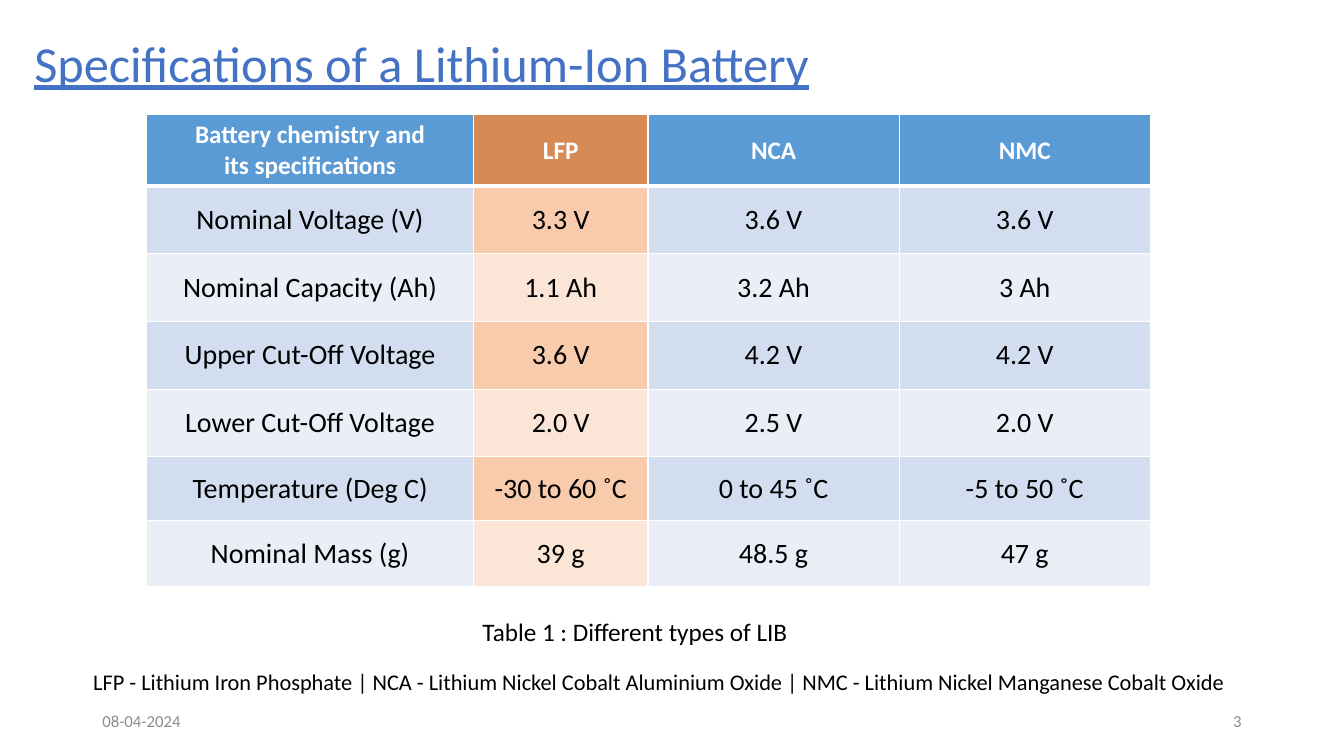
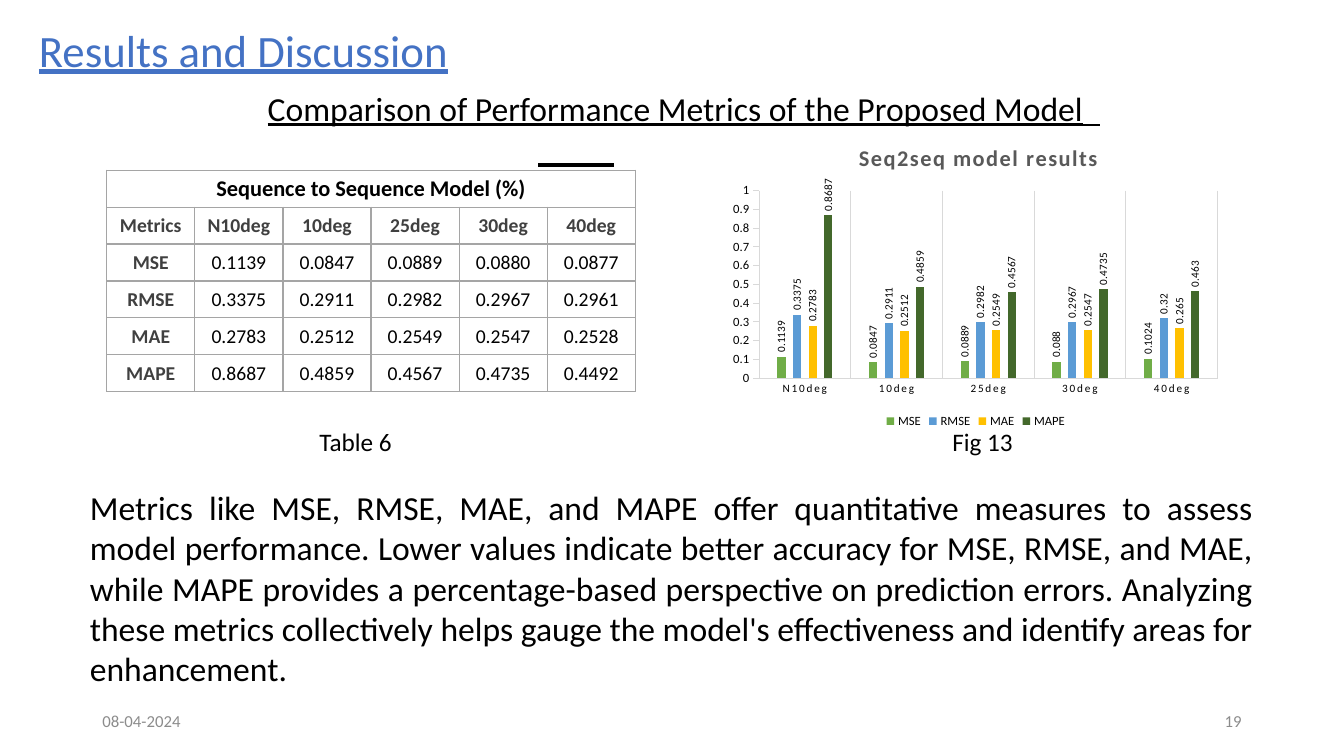
from dataclasses import dataclass

from lxml import etree
from pptx import Presentation
from pptx.chart import data as chart_data
from pptx.dml.color import RGBColor
from pptx.enum import chart as ch, shapes, text
from pptx.oxml import ns
from pptx.util import Cm, Pt

FONT = "Calibri"
BLACK = RGBColor(0x00, 0x00, 0x00)
WHITE = RGBColor(0xFF, 0xFF, 0xFF)
TITLE_BLUE = RGBColor(0x44, 0x72, 0xC4)
FOOTER_GREY = RGBColor(0x8C, 0x8C, 0x8C)
LABEL_GREY = RGBColor(0x40, 0x40, 0x40)
CHART_TITLE_GREY = RGBColor(0x59, 0x59, 0x59)
GRID_GREY = RGBColor(0xD9, 0xD9, 0xD9)
BORDER_GREY = RGBColor(0xA5, 0xA5, 0xA5)
HEADER_BLUE = RGBColor(0x5B, 0x9B, 0xD5)
HEADER_ORANGE = RGBColor(0xC5, 0x5A, 0x11)
BLUE_BANDS = RGBColor(0xD2, 0xDE, 0xEF), RGBColor(0xEA, 0xEF, 0xF7)
ORANGE_BANDS = RGBColor(0xF8, 0xCB, 0xAD), RGBColor(0xFB, 0xE5, 0xD6)

ALIGN = text.PP_ALIGN
ANCHOR = text.MSO_ANCHOR


@dataclass(frozen=True)
class Box:
    """A place on the slide, in centimetres."""
    left: float
    top: float
    width: float
    height: float

    def lengths(self) -> tuple:
        return Cm(self.left), Cm(self.top), Cm(self.width), Cm(self.height)


@dataclass(frozen=True)
class Metric:
    name: str
    color: RGBColor
    tabled: tuple
    charted: tuple


TEMPERATURES = ("N10deg", "10deg", "25deg", "30deg", "40deg")
METRICS = (
    Metric("MSE", RGBColor(0x70, 0xAD, 0x47),
           ("0.1139", "0.0847", "0.0889", "0.0880", "0.0877"),
           (0.1139, 0.0847, 0.0889, 0.088, 0.1024)),
    Metric("RMSE", HEADER_BLUE,
           ("0.3375", "0.2911", "0.2982", "0.2967", "0.2961"),
           (0.3375, 0.2911, 0.2982, 0.2967, 0.32)),
    Metric("MAE", RGBColor(0xFF, 0xC0, 0x00),
           ("0.2783", "0.2512", "0.2549", "0.2547", "0.2528"),
           (0.2783, 0.2512, 0.2549, 0.2547, 0.265)),
    Metric("MAPE", RGBColor(0x43, 0x68, 0x2B),
           ("0.8687", "0.4859", "0.4567", "0.4735", "0.4492"),
           (0.8687, 0.4859, 0.4567, 0.4735, 0.463)),
)
SPECIFICATIONS = (
    ("Battery chemistry and\nits specifications", "LFP", "NCA", "NMC"),
    ("Nominal Voltage (V)", "3.3 V", "3.6 V", "3.6 V"),
    ("Nominal Capacity (Ah)", "1.1 Ah", "3.2 Ah", "3 Ah"),
    ("Upper Cut-Off Voltage", "3.6 V", "4.2 V", "4.2 V"),
    ("Lower Cut-Off Voltage", "2.0 V", "2.5 V", "2.0 V"),
    ("Temperature (Deg C)", "-30 to 60 ˚C", "0 to 45 ˚C", "-5 to 50 ˚C"),
    ("Nominal Mass (g)", "39 g", "48.5 g", "47 g"),
)


def style_font(font, size: float, color: RGBColor = BLACK, bold: bool = False,
               underline: bool = False) -> None:
    font.name, font.size = FONT, Pt(size)
    font.bold, font.underline = bold, underline
    font.color.rgb = color


def write(frame, wording: str, *, size: float, align=ALIGN.LEFT, anchor=ANCHOR.TOP,
          line_spacing: float = 1.0, wrap: bool = True, **font_format) -> None:
    """Fill a text frame, one paragraph for each line of the wording."""
    frame.word_wrap = wrap
    frame.vertical_anchor = anchor
    for index, line in enumerate(wording.split("\n")):
        paragraph = frame.add_paragraph() if index else frame.paragraphs[0]
        paragraph.alignment = align
        paragraph.line_spacing = line_spacing
        paragraph.space_before = Pt(0)
        run = paragraph.add_run()
        run.text = line
        style_font(run.font, size, **font_format)


def add_text(slide, box: Box, wording: str, **text_format) -> None:
    write(slide.shapes.add_textbox(*box.lengths()).text_frame, wording, **text_format)


def fill_placeholder(placeholder, box: Box, wording: str, **text_format) -> None:
    placeholder.left, placeholder.top, placeholder.width, placeholder.height = box.lengths()
    placeholder.text_frame.auto_size = text.MSO_AUTO_SIZE.NONE
    write(placeholder.text_frame, wording, **text_format)


def start_slide(deck, layout: int, title: str, title_box: Box, title_size: float,
                number: int, title_align=ALIGN.LEFT):
    """Add a slide with its title, date and slide number."""
    slide = deck.slides.add_slide(deck.slide_layouts[layout])
    fill_placeholder(slide.shapes.title, title_box, title, size=title_size,
                     color=TITLE_BLUE, underline=True, align=title_align,
                     anchor=ANCHOR.MIDDLE, line_spacing=0.9)
    outline = etree.SubElement(slide.shapes.title._element.spPr, ns.qn("a:prstGeom"),
                               prst="round2DiagRect")
    etree.SubElement(outline, ns.qn("a:avLst"))
    for left, wording, align in ((2.33, "08-04-2024", ALIGN.LEFT),
                                 (23.92, str(number), ALIGN.RIGHT)):
        add_text(slide, Box(left, 17.65, 7.62, 1.01), wording, size=12,
                 color=FOOTER_GREY, align=align, anchor=ANCHOR.MIDDLE)
    return slide


def set_borders(cell, color: RGBColor, top: float = 1, bottom: float = 1) -> None:
    properties = cell._tc.get_or_add_tcPr()
    for side, points in (("L", 1), ("R", 1), ("T", top), ("B", bottom)):
        line = etree.SubElement(properties, ns.qn(f"a:ln{side}"), w=str(Pt(points)))
        fill = etree.SubElement(line, ns.qn("a:solidFill"))
        etree.SubElement(fill, ns.qn("a:srgbClr"), val=str(color))


def fill_cell(cell, color: RGBColor, opacity: int = 100) -> None:
    cell.fill.solid()
    cell.fill.fore_color.rgb = color
    if opacity < 100:
        shade = cell._tc.tcPr.find(f"{ns.qn('a:solidFill')}/{ns.qn('a:srgbClr')}")
        etree.SubElement(shade, ns.qn("a:alpha"), val=str(opacity * 1000))


def add_grid(slide, left: float, top: float, widths: list, heights: list):
    box = Box(left, top, sum(widths), sum(heights))
    table = slide.shapes.add_table(len(heights), len(widths), *box.lengths()).table
    table.horz_banding = False
    for column, width in zip(table.columns, widths):
        column.width = Cm(width)
    for row, height in zip(table.rows, heights):
        row.height = Cm(height)
    return table


def add_specification_table(slide) -> None:
    table = add_grid(slide, 3.7, 2.89, [8.23, 4.4, 6.33, 6.33],
                     [1.8, 1.7, 1.71, 1.71, 1.7, 1.61, 1.66])
    for r, values in enumerate(SPECIFICATIONS):
        for c, value in enumerate(values):
            cell = table.cell(r, c)
            header, highlighted = r == 0, c == 1
            set_borders(cell, WHITE, top=3 if r == 1 else 1, bottom=3 if header else 1)
            if header:
                fill_cell(cell, HEADER_ORANGE if highlighted else HEADER_BLUE,
                          70 if highlighted else 100)
            else:
                fill_cell(cell, (ORANGE_BANDS if highlighted else BLUE_BANDS)[(r - 1) % 2])
            write(cell.text_frame, value, size=18 if header else 20, bold=header,
                  color=WHITE if header else BLACK, align=ALIGN.CENTER)
            cell.vertical_anchor = ANCHOR.MIDDLE


def add_metrics_table(slide) -> None:
    rows = [("Sequence to Sequence Model (%)",), ("Metrics", *TEMPERATURES)]
    rows += [(metric.name, *metric.tabled) for metric in METRICS]
    table = add_grid(slide, 2.69, 4.29, [2.22] * 6, [0.93] * 6)
    for cell in table.iter_cells():
        set_borders(cell, BORDER_GREY)
        cell.fill.background()
        cell.margin_left = cell.margin_right = cell.margin_top = Cm(0.03)
        cell.margin_bottom = 0
    table.cell(0, 0).merge(table.cell(0, 5))
    for r, values in enumerate(rows):
        for c, value in enumerate(values):
            label = r == 1 or (c == 0 and r > 0)
            write(table.cell(r, c).text_frame, value, size=14 if r else 16,
                  bold=label or r == 0, color=LABEL_GREY if label else BLACK,
                  align=ALIGN.CENTER)
            table.cell(r, c).vertical_anchor = ANCHOR.MIDDLE


def place_in_chart(part, index: int, **settings) -> None:
    """Give a chart part a manual layout, as the child at the given index."""
    tag = ns.qn("c:layout")
    for automatic in part.findall(tag):
        part.remove(automatic)
    layout = etree.Element(tag)
    manual = etree.SubElement(layout, ns.qn("c:manualLayout"))
    for name, value in settings.items():
        etree.SubElement(manual, ns.qn(f"c:{name}"), val=str(value))
    part.insert(index, layout)


def style_line(line) -> None:
    line.color.rgb = GRID_GREY
    line.width = Pt(0.75)


def add_metrics_chart(slide) -> None:
    data = chart_data.CategoryChartData()
    data.categories = TEMPERATURES
    for metric in METRICS:
        data.add_series(metric.name, metric.charted)
    chart = slide.shapes.add_chart(ch.XL_CHART_TYPE.COLUMN_CLUSTERED,
                                   *Box(18.24, 3.28, 12.7, 7.62).lengths(), data).chart
    style_font(chart.font, 10)

    chart.has_title = True
    heading = chart.chart_title.text_frame.paragraphs[0].add_run()
    heading.text = "Seq2seq model results"
    style_font(heading.font, 16, CHART_TITLE_GREY, bold=True)
    heading.font._rPr.set("spc", "120")
    place_in_chart(chart.chart_title._element, 1, xMode="edge", yMode="edge",
                   x=0.26, y=0.03)

    chart.has_legend = True
    chart.legend.position = ch.XL_LEGEND_POSITION.BOTTOM
    chart.legend.include_in_layout = False
    style_font(chart.legend.font, 9)

    temperatures, scores = chart.category_axis, chart.value_axis
    for axis, size, tick in ((temperatures, 8, ch.XL_TICK_MARK.NONE),
                             (scores, 9, ch.XL_TICK_MARK.OUTSIDE)):
        style_font(axis.tick_labels.font, size)
        axis.major_tick_mark = tick
        axis.minor_tick_mark = ch.XL_TICK_MARK.NONE
        style_line(axis.format.line)
    temperatures.tick_labels.font._rPr.set("spc", "120")
    temperatures.has_major_gridlines = True
    style_line(temperatures.major_gridlines.format.line)
    scores.has_major_gridlines = False
    scores.minimum_scale, scores.maximum_scale, scores.major_unit = 0, 1, 0.1

    plot = chart.plots[0]
    plot.gap_width, plot.overlap, plot.vary_by_categories = 444, -90, False
    for series, metric in zip(plot.series, METRICS):
        series.format.fill.solid()
        series.format.fill.fore_color.rgb = metric.color
        labels = series.data_labels
        labels.show_value = True
        labels.position = ch.XL_LABEL_POSITION.OUTSIDE_END
        style_font(labels.font, 8)
        turned = labels._element.find(f"{ns.qn('c:txPr')}/{ns.qn('a:bodyPr')}")
        turned.set("rot", "-5400000")
        turned.set("vert", "horz")
    place_in_chart(chart._chartSpace.chart.plotArea, 0, layoutTarget="inner",
                   xMode="edge", yMode="edge", x=0.07, y=0.2, w=0.91, h=0.62)


def add_rule(slide, left: float, right: float, top: float, weight: float) -> None:
    rule = slide.shapes.add_connector(shapes.MSO_CONNECTOR.STRAIGHT,
                                      Cm(left), Cm(top), Cm(right), Cm(top))
    rule.line.color.rgb = BLACK
    rule.line.width = Pt(weight)
    etree.SubElement(rule._element.spPr, ns.qn("a:effectLst"))


def build_specifications(deck) -> None:
    slide = start_slide(deck, 5, "Specifications of a Lithium-Ion Battery",
                        Box(0.61, 0.68, 21.49, 1.98), 36, 3)
    add_specification_table(slide)
    add_text(slide, Box(11.91, 15.4, 8.86, 1.02), "Table 1 : Different types of LIB", size=18)
    add_text(slide, Box(2.1, 16.7, 29.67, 1.7),
             "LFP - Lithium Iron Phosphate | NCA - Lithium Nickel Cobalt Aluminium Oxide"
             " | NMC - Lithium Nickel Manganese Cobalt Oxide", size=16)


def build_results(deck) -> None:
    slide = start_slide(deck, 1, "Results and Discussion",
                        Box(-0.53, 0.51, 13.34, 1.63), 32, 19, ALIGN.CENTER)
    add_text(slide, Box(1.02, 2.08, 32, 1.27),
             "Comparison of Performance Metrics of the Proposed Model",
             size=24, underline=True, align=ALIGN.CENTER)
    add_rule(slide, 27.1, 27.72, 3.15, 2)
    add_rule(slide, 13.56, 15.47, 4.15, 3)
    add_metrics_table(slide)
    add_metrics_chart(slide)
    for left, caption in ((7.8, "Table 6"), (23.75, "Fig 13")):
        add_text(slide, Box(left, 10.62, 2.77, 1.02), caption, size=18)

    discussion = slide.placeholders[1]
    properties = discussion.text_frame.paragraphs[0]._p.get_or_add_pPr()
    properties.set("marL", "0")
    properties.set("indent", "0")
    etree.SubElement(properties, ns.qn("a:buNone"))
    fill_placeholder(
        discussion, Box(2.01, 12.14, 29.82, 5.38),
        "Metrics like MSE, RMSE, MAE, and MAPE offer quantitative measures to assess model "
        "performance. Lower values indicate better accuracy for MSE, RMSE, and MAE, while "
        "MAPE provides a percentage-based perspective on prediction errors. Analyzing these "
        "metrics collectively helps gauge the model's effectiveness and identify areas for "
        "enhancement.", size=24, align=ALIGN.JUSTIFY)


def main() -> None:
    deck = Presentation()
    deck.slide_width, deck.slide_height = Cm(33.87), Cm(19.05)
    build_specifications(deck)
    build_results(deck)
    deck.save("out.pptx")


if __name__ == "__main__":
    main()
